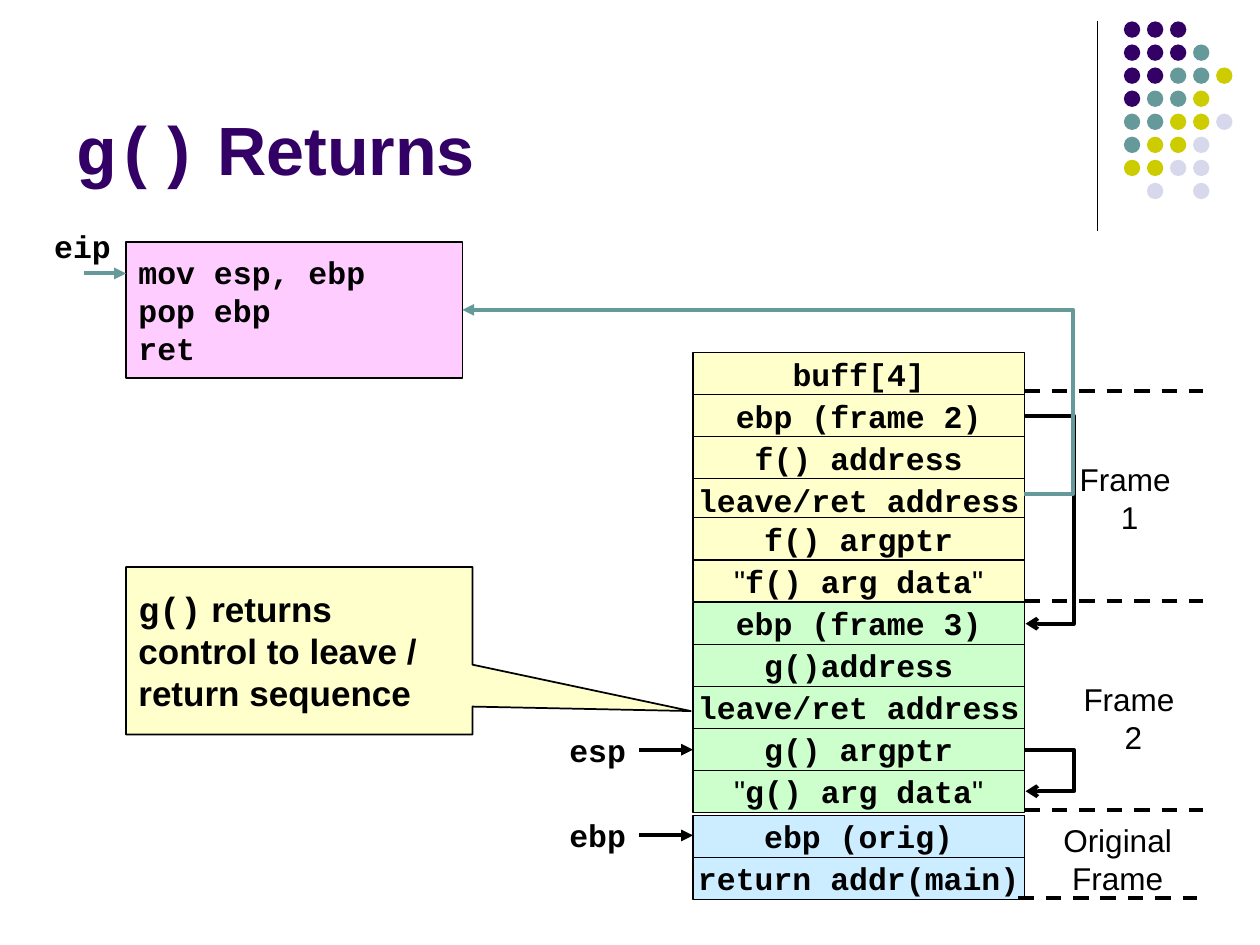
from dataclasses import dataclass

from lxml import etree
from pptx import Presentation
from pptx import util as u
from pptx.dml.color import RGBColor
from pptx.enum import dml, shapes, text
from pptx.oxml import ns

BLACK = RGBColor(0x00, 0x00, 0x00)
PURPLE = RGBColor(0x33, 0x00, 0x66)
TEAL = RGBColor(0x66, 0x99, 0x99)
OLIVE = RGBColor(0xCC, 0xCC, 0x00)
LAVENDER = RGBColor(0xD8, 0xD8, 0xEC)
YELLOW = RGBColor(0xFF, 0xFF, 0xCC)
GREEN = RGBColor(0xCC, 0xFF, 0xCC)
BLUE = RGBColor(0xCC, 0xEC, 0xFF)
PINK = RGBColor(0xFF, 0xCC, 0xFF)

SANS = "Arial"
MONO = "Courier New"
LEFT = text.PP_ALIGN.LEFT
CENTER = text.PP_ALIGN.CENTER
TOP = text.MSO_ANCHOR.TOP
MIDDLE = text.MSO_ANCHOR.MIDDLE
BOTTOM = text.MSO_ANCHOR.BOTTOM
STACK_LEFT, STACK_RIGHT = 5.5, 8.13
ROW_HEIGHT = 1 / 3
DOT_ROWS = ["PPP", "PPPT", "PPTTO", "PTTO", "TTOOL", "TOOL", "OOLL", " L L"]
DOT_COLORS = {"P": PURPLE, "T": TEAL, "O": OLIVE, "L": LAVENDER}


@dataclass
class Span:
    words: str
    font: str = MONO
    bold: bool = True


@dataclass
class Block:
    top: float
    fill: RGBColor
    rows: list[list[Span]]


@dataclass
class Label:
    left: float
    top: float
    width: float
    height: float
    lines: list[list[Span]]
    align: text.PP_ALIGN = LEFT


@dataclass
class Link:
    start: tuple[float, float]
    end: tuple[float, float]
    color: RGBColor = BLACK
    weight: float = 2.25
    head: str = ""
    dashed: bool = False
    bend_x: float | None = None


def code(words: str) -> list[Span]:
    return [Span(words)]


def plain(words: str) -> list[Span]:
    return [Span(words, SANS, False)]


def quoted(words: str) -> list[Span]:
    return plain('"') + code(words) + plain('"')


def write(shape, lines: list[list[Span]], *, size: float = 18, color: RGBColor = BLACK,
          align: text.PP_ALIGN = LEFT, anchor: text.MSO_ANCHOR = MIDDLE,
          wrap: bool = False) -> None:
    frame = shape.text_frame
    frame.word_wrap = wrap
    frame.vertical_anchor = anchor
    for index, line in enumerate(lines):
        para = frame.add_paragraph() if index else frame.paragraphs[0]
        para.alignment = align
        for span in line:
            run = para.add_run()
            run.text = span.words
            run.font.name = span.font
            run.font.bold = span.bold
            run.font.size = u.Pt(size)
            run.font.color.rgb = color


def draw_shape(page, kind: shapes.MSO_SHAPE, left: float, top: float, width: float,
               height: float, fill: RGBColor, line: float = 0):
    box = page.shapes.add_shape(kind, *map(u.Inches, (left, top, width, height)))
    box.shadow.inherit = False
    box.fill.solid()
    box.fill.fore_color.rgb = fill
    if line:
        box.line.color.rgb = BLACK
        box.line.width = u.Pt(line)
    else:
        box.line.fill.background()
    return box


def draw_label(page, label: Label, **style) -> None:
    area = (label.left, label.top, label.width, label.height)
    box = page.shapes.add_textbox(*map(u.Inches, area))
    write(box, label.lines, align=label.align, **style)


def draw_link(page, link: Link) -> None:
    bent = link.bend_x is not None
    kind = shapes.MSO_CONNECTOR.ELBOW if bent else shapes.MSO_CONNECTOR.STRAIGHT
    line = page.shapes.add_connector(kind, *map(u.Inches, link.start + link.end))
    line.line.color.rgb = link.color
    line.line.width = u.Pt(link.weight)
    if link.dashed:
        line.line.dash_style = dml.MSO_LINE.DASH
    properties = line._element.spPr
    if bent:
        ratio = (link.bend_x - link.start[0]) / (link.end[0] - link.start[0])
        guides = properties.find(ns.qn("a:prstGeom")).get_or_add_avLst()
        etree.SubElement(guides, ns.qn("a:gd"), name="adj1", fmla=f"val {round(ratio * 100000)}")
    if link.head:
        etree.SubElement(line.line._get_or_add_ln(), ns.qn("a:tailEnd"), type=link.head)
    etree.SubElement(properties, ns.qn("a:effectLst"))


def draw_dots(page) -> None:
    for row, marks in enumerate(DOT_ROWS):
        for column, mark in enumerate(marks):
            if mark in DOT_COLORS:
                draw_shape(page, shapes.MSO_SHAPE.OVAL, 8.92 + 0.183 * column,
                           0.17 + 0.183 * row, 0.13, 0.13, DOT_COLORS[mark])


def draw_block(page, block: Block) -> None:
    for index, row in enumerate(block.rows):
        box = draw_shape(page, shapes.MSO_SHAPE.RECTANGLE, STACK_LEFT,
                         block.top + index * ROW_HEIGHT, STACK_RIGHT - STACK_LEFT,
                         ROW_HEIGHT, block.fill, 0.75)
        write(box, [row], align=CENTER)


BLOCKS = [
    Block(2.8, YELLOW, [code("buff[4]"), code("ebp (frame 2)"), code("f() address"),
                        code("leave/ret address")]),
    Block(4.11, YELLOW, [code("f() argptr"), quoted("f() arg data")]),
    Block(4.78, GREEN, [code("ebp (frame 3)"), code("g()address"), code("leave/ret address"),
                        code("g() argptr"), quoted("g() arg data")]),
    Block(6.47, BLUE, [code("ebp (orig)"), code("return addr(main)")]),
]
LABELS = [
    Label(8.47, 3.6, 0.99, 0.7, [plain("Frame "), plain("1")], CENTER),
    Label(8.5, 5.35, 0.99, 0.7, [plain("Frame "), plain("2")], CENTER),
    Label(8.34, 6.47, 1.06, 0.7, [plain("Original"), plain("Frame")], CENTER),
    Label(0.33, 1.75, 0.65, 0.4, [code("eip")], CENTER),
    Label(4.42, 6.43, 0.65, 0.4, [code("ebp")]),
    Label(4.42, 5.75, 0.65, 0.4, [code("esp")]),
]
DIVIDERS = [(8.13, 3.1), (8.13, 4.77), (8.13, 6.43), (8.08, 7.13)]
LINKS = [Link((x, y), (x + 1.42, y), dashed=True) for x, y in DIVIDERS] + [
    Link((8.71, 0.17), (8.71, 1.83), weight=0.75),
    Link((8.13, 3.3), (8.14, 4.95), head="arrow", bend_x=8.53),
    Link((8.13, 5.95), (8.14, 6.28), head="arrow", bend_x=8.53),
    Link((8.13, 3.92), (3.67, 2.46), TEAL, head="triangle", bend_x=8.52),
    Link((0.67, 2.17), (1, 2.17), TEAL, head="triangle"),
    Link((5.07, 6.63), (5.5, 6.63), head="triangle"),
    Link((5.07, 5.95), (5.5, 5.95), head="triangle"),
]


def main() -> None:
    deck = Presentation()
    deck.slide_width, deck.slide_height = u.Inches(10), u.Inches(7.5)
    page = deck.slides.add_slide(deck.slide_layouts[6])
    draw_dots(page)
    title = Label(0.5, 0.13, 8.25, 1.42, [[Span("g()"), Span(" Returns", SANS)]])
    draw_label(page, title, size=39, color=PURPLE, anchor=BOTTOM, wrap=True)
    for block in BLOCKS:
        draw_block(page, block)
    listing = draw_shape(page, shapes.MSO_SHAPE.RECTANGLE, 1, 1.92, 2.67, 1.08, PINK, 0.75)
    write(listing, [code("mov esp, ebp"), code("pop ebp"), code("ret")])
    callout = draw_shape(page, shapes.MSO_SHAPE.RECTANGULAR_CALLOUT, 1, 4.5, 2.75, 1.33, YELLOW, 1)
    callout.adjustments[0], callout.adjustments[1] = 1.13, 0.36
    note = [Span("g()"), Span(" returns control to leave / return sequence", SANS)]
    write(callout, [note], size=20, wrap=True)
    for label in LABELS:
        draw_label(page, label, anchor=TOP)
    for link in LINKS:
        draw_link(page, link)
    deck.save("out.pptx")


if __name__ == "__main__":
    main()
